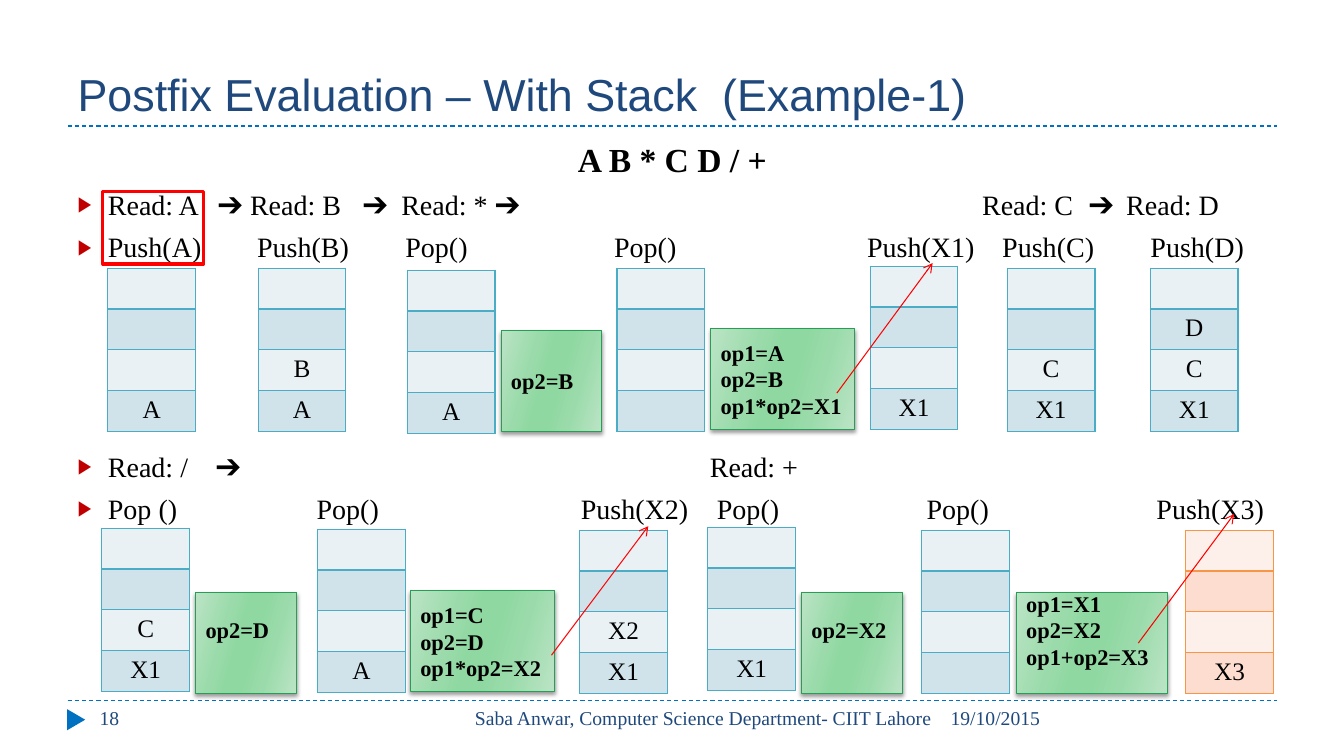
from dataclasses import dataclass
from typing import Any

from pptx import Presentation
from pptx import util as u
from pptx.dml.color import RGBColor
from pptx.enum import dml, shapes, text
from pptx.oxml import parse_xml
from pptx.oxml.ns import nsdecls, qn

COLOURS = {
    "navy": "1F497D", "blue": "0070C0", "red": "FF0000", "bullet": "C00000", "black": "000000",
    "stack_line": "4BACC6", "stack_light": "E9F1F5", "stack_dark": "D0E3EA",
    "result_line": "F79646", "result_light": "FDEFE9", "result_dark": "FCDDCF",
    "note_line": "279D57",
}
NOTE_GRADIENT = {0: "BBE4C5", 30: "9BDBAB", 45: "8FD8A1", 55: "8FD8A1", 73: "9BDBAB", 100: "BBE4C5"}
SERIF = "Times New Roman"
STACK_ROWS, STACK_WIDTH, STACK_HEIGHT = 4, 0.87, 1.62
TEXT_LEFT, BULLET_INDENT = 0.77, 0.3
BLANK_LINE = 0.26


@dataclass
class Stack:
    left: float
    top: float
    items: tuple[str, ...] = ()  # bottom item first
    theme: str = "stack"


@dataclass
class Note:
    left: float
    top: float
    width: float
    lines: tuple[str, ...]
    raised: bool = False


@dataclass
class Step:
    """A bulleted line whose later labels start at the given slide positions."""
    first: str
    labels: dict[float, str]
    space_before: float = 6


@dataclass
class Line:
    start: tuple[float, float]
    end: tuple[float, float]
    colour: str
    arrow: bool = False


@dataclass
class Footer:
    left: float
    width: float
    words: str
    alignment: Any = text.PP_ALIGN.LEFT


STEPS = [
    Step("Read: A", {2.16: "➔", 2.48: "Read: B", 3.6: "➔", 3.98: "Read: *", 4.91: "➔",
                     9.74: "Read: C", 10.8: "➔", 11.17: "Read: D"}),
    Step("Push(A)", {2.55: "Push(B)", 4.02: "Pop()", 6.09: "Pop()", 8.6: "Push(X1)",
                     9.94: "Push(C)", 11.41: "Push(D)"}),
    Step("Read: /", {2.14: "➔", 7.04: "Read: +"}, 133),
    Step("Pop ()", {3.14: "Pop()", 5.76: "Push(X2)", 7.11: "Pop()", 9.19: "Pop()", 11.47: "Push(X3)"}),
]
STACKS = [
    Stack(1.07, 2.66, ("A",)), Stack(2.56, 2.66, ("A", "B")), Stack(4.04, 2.68, ("A",)),
    Stack(6.12, 2.66), Stack(8.63, 2.64, ("X1",)), Stack(9.99, 2.66, ("X1", "C")),
    Stack(11.41, 2.66, ("X1", "C", "D")),
    Stack(1.01, 5.24, ("X1", "C")), Stack(3.15, 5.25, ("A",)), Stack(5.75, 5.26, ("X1", "X2")),
    Stack(7.02, 5.23, ("X1",)), Stack(9.14, 5.26), Stack(11.76, 5.26, ("X3",), "result"),
]
NOTES = [
    Note(4.97, 3.28, 1, ("op2=B",)),
    Note(7.05, 3.26, 1.43, ("op1=A", "op2=B", "op1*op2=X1")),
    Note(1.94, 5.88, 1, ("op2=D",), True),
    Note(4.07, 5.86, 1.43, ("op1=C", "op2=D", "op1*op2=X2")),
    Note(7.95, 5.88, 1, ("op2=X2",), True),
    Note(10.08, 5.88, 1.5, ("op1=X1", "op2=X2", "op1+op2=X3"), True),
]
RULES = [Line((0.67, y), (12.67, y), "blue") for y in (1.25, 6.95)]
ARROWS = [
    Line((8.3, 3.9), (9.25, 2.61), "red", True),
    Line((5.47, 6.5), (6.43, 5.22), "red", True),
    Line((11.29, 6.38), (12.24, 5.1), "red", True),
]
FOOTERS = [
    Footer(0.89, 2.89, "18"),
    Footer(4.23, 5.11, "Saba Anwar, Computer Science Department- CIIT Lahore", text.PP_ALIGN.RIGHT),
    Footer(9.33, 3.34, "19/10/2015"),
]


def rgb(name: str) -> RGBColor:
    return RGBColor.from_string(COLOURS[name])


def set_format(target: Any, **values: Any) -> None:
    for name, value in values.items():
        setattr(target, name, value)


def box(left: float, top: float, width: float, height: float) -> list[u.Length]:
    return [u.Inches(length) for length in (left, top, width, height)]


def place(shape: Any, left: float, top: float, width: float, height: float) -> None:
    set_format(shape, **dict(zip(("left", "top", "width", "height"), box(left, top, width, height))))


def drawing(xml: str) -> Any:
    """Parse an element whose root tag holds the marker NS for the namespace."""
    return parse_xml(xml.replace("NS", nsdecls("a"), 1))


def write(paragraph: Any, words: str, size: float, colour: str = "black",
          name: str = SERIF, bold: bool = False) -> None:
    run = paragraph.add_run()
    run.text = words
    set_format(run.font, size=u.Pt(size), name=name, bold=bold)
    run.font.color.rgb = rgb(colour)


def add_step(frame: Any, step: Step) -> None:
    paragraph = frame.add_paragraph()
    properties = paragraph._p.get_or_add_pPr()
    set_format(paragraph, space_before=u.Pt(step.space_before), alignment=text.PP_ALIGN.LEFT)
    indent = u.Inches(BULLET_INDENT)
    properties.set("marL", str(indent))
    properties.set("indent", str(-indent))
    stops = "".join(f'<a:tab pos="{u.Inches(x - TEXT_LEFT)}" algn="l"/>' for x in step.labels)
    for xml in (f'<a:buClr NS><a:srgbClr val="{COLOURS["bullet"]}"/></a:buClr>',
                '<a:buSzPct NS val="76000"/>', '<a:buFont NS typeface="Arial"/>',
                '<a:buChar NS char="▶"/>', f"<a:tabLst NS>{stops}</a:tabLst>"):
        properties.append(drawing(xml))
    write(paragraph, "\t".join([step.first, *step.labels.values()]), 20)


def add_stack(slide: Any, stack: Stack) -> None:
    frame = slide.shapes.add_table(STACK_ROWS, 1, *box(stack.left, stack.top, STACK_WIDTH, STACK_HEIGHT))
    set_format(frame.table, first_row=False, horz_banding=False)
    for row in range(STACK_ROWS):
        cell = frame.table.cell(row, 0)
        set_format(cell, margin_top=u.Inches(0.05), margin_bottom=0)
        for side in ("lnL", "lnR", "lnT", "lnB"):
            cell._tc.get_or_add_tcPr().append(drawing(
                f'<a:{side} NS w="{u.Pt(1)}"><a:solidFill><a:srgbClr val="'
                f'{COLOURS[stack.theme + "_line"]}"/></a:solidFill></a:{side}>'))
        cell.fill.solid()
        cell.fill.fore_color.rgb = rgb(stack.theme + ("_dark" if row % 2 else "_light"))
        depth = STACK_ROWS - 1 - row
        if depth < len(stack.items):
            paragraph = cell.text_frame.paragraphs[0]
            paragraph.alignment = text.PP_ALIGN.CENTER
            write(paragraph, stack.items[depth], 18)


def add_note(slide: Any, note: Note) -> None:
    shape = slide.shapes.add_shape(shapes.MSO_SHAPE.RECTANGLE, *box(note.left, note.top, note.width, 1))
    shape.fill.gradient()
    shape.fill.gradient_angle = 344
    stops = "".join(f'<a:gs pos="{position * 1000}"><a:srgbClr val="{colour}"/></a:gs>'
                    for position, colour in NOTE_GRADIENT.items())
    properties = shape._element.spPr
    gradient = properties.find(qn("a:gradFill"))
    gradient.replace(gradient.find(qn("a:gsLst")), drawing(f"<a:gsLst NS>{stops}</a:gsLst>"))
    shape.line.color.rgb = rgb("note_line")
    shape.line.width = u.Pt(0.75)
    properties.append(drawing(
        f'<a:effectLst NS><a:outerShdw blurRad="{u.Pt(3)}" dist="{u.Pt(2)}" dir="5400000" rotWithShape="0">'
        '<a:srgbClr val="000000"><a:alpha val="40000"/></a:srgbClr></a:outerShdw></a:effectLst>'))
    frame = shape.text_frame
    set_format(frame, word_wrap=True, vertical_anchor=text.MSO_ANCHOR.MIDDLE,
               margin_bottom=u.Inches(0.05 + BLANK_LINE * note.raised))
    for index, words in enumerate(note.lines):
        paragraph = frame.add_paragraph() if index else frame.paragraphs[0]
        paragraph.alignment = text.PP_ALIGN.LEFT
        write(paragraph, words, 16, bold=True)


def add_line(slide: Any, line: Line) -> None:
    ends = [u.Inches(length) for length in (*line.start, *line.end)]
    connector = slide.shapes.add_connector(shapes.MSO_CONNECTOR.STRAIGHT, *ends)
    connector.line.color.rgb = rgb(line.colour)
    connector.line.width = u.Pt(0.75)
    if line.arrow:
        connector.line._get_or_add_ln().append(drawing('<a:tailEnd NS type="arrow"/>'))
    else:
        connector.line.dash_style = dml.MSO_LINE.DASH
    connector._element.spPr.append(drawing("<a:effectLst NS/>"))


def add_footer(slide: Any, footer: Footer) -> None:
    frame = slide.shapes.add_textbox(*box(footer.left, 6.95, footer.width, 0.4)).text_frame
    frame.word_wrap = True
    frame.paragraphs[0].alignment = footer.alignment
    write(frame.paragraphs[0], footer.words, 14, "navy")


def fill_placeholders(slide: Any) -> None:
    title, body = slide.shapes.title, slide.placeholders[1]
    place(title, 0.67, 0.17, 12, 1.08)
    place(body, 0.67, 1.33, 12, 5.4)
    for shape, anchor in ((title, text.MSO_ANCHOR.BOTTOM), (body, text.MSO_ANCHOR.TOP)):
        set_format(shape.text_frame, auto_size=text.MSO_AUTO_SIZE.NONE, word_wrap=True, vertical_anchor=anchor)
    heading = title.text_frame.paragraphs[0]
    heading.alignment = text.PP_ALIGN.LEFT
    write(heading, "Postfix Evaluation – With Stack  (Example-1)", 32, "navy", "Arial")
    expression = body.text_frame.paragraphs[0]
    set_format(expression, alignment=text.PP_ALIGN.CENTER, space_before=u.Pt(0))
    properties = expression._p.get_or_add_pPr()
    properties.set("marL", "0")
    properties.set("indent", "0")
    properties.append(drawing("<a:buNone NS/>"))
    write(expression, "A B * C D / +", 24, bold=True)
    for step in STEPS:
        add_step(body.text_frame, step)


def main() -> None:
    presentation = Presentation()
    set_format(presentation, slide_width=u.Inches(13.33), slide_height=u.Inches(7.5))
    slide = presentation.slides.add_slide(presentation.slide_layouts[1])
    fill_placeholders(slide)
    for rule in RULES:
        add_line(slide, rule)
    marker = slide.shapes.add_shape(shapes.MSO_SHAPE.ISOSCELES_TRIANGLE, *box(0.65, 7.05, 0.21, 0.18))
    marker.rotation = 90
    marker.shadow.inherit = False
    marker.fill.solid()
    marker.fill.fore_color.rgb = rgb("blue")
    marker.line.fill.background()
    for items, draw in ((FOOTERS, add_footer), (STACKS, add_stack), (NOTES, add_note)):
        for item in items:
            draw(slide, item)
    highlight = slide.shapes.add_shape(shapes.MSO_SHAPE.RECTANGLE, *box(1.02, 1.9, 1, 0.72))
    highlight.shadow.inherit = False
    highlight.fill.background()
    highlight.line.color.rgb = rgb("red")
    highlight.line.width = u.Pt(2.25)
    for arrow in ARROWS:
        add_line(slide, arrow)
    presentation.save("out.pptx")


if __name__ == "__main__":
    main()
